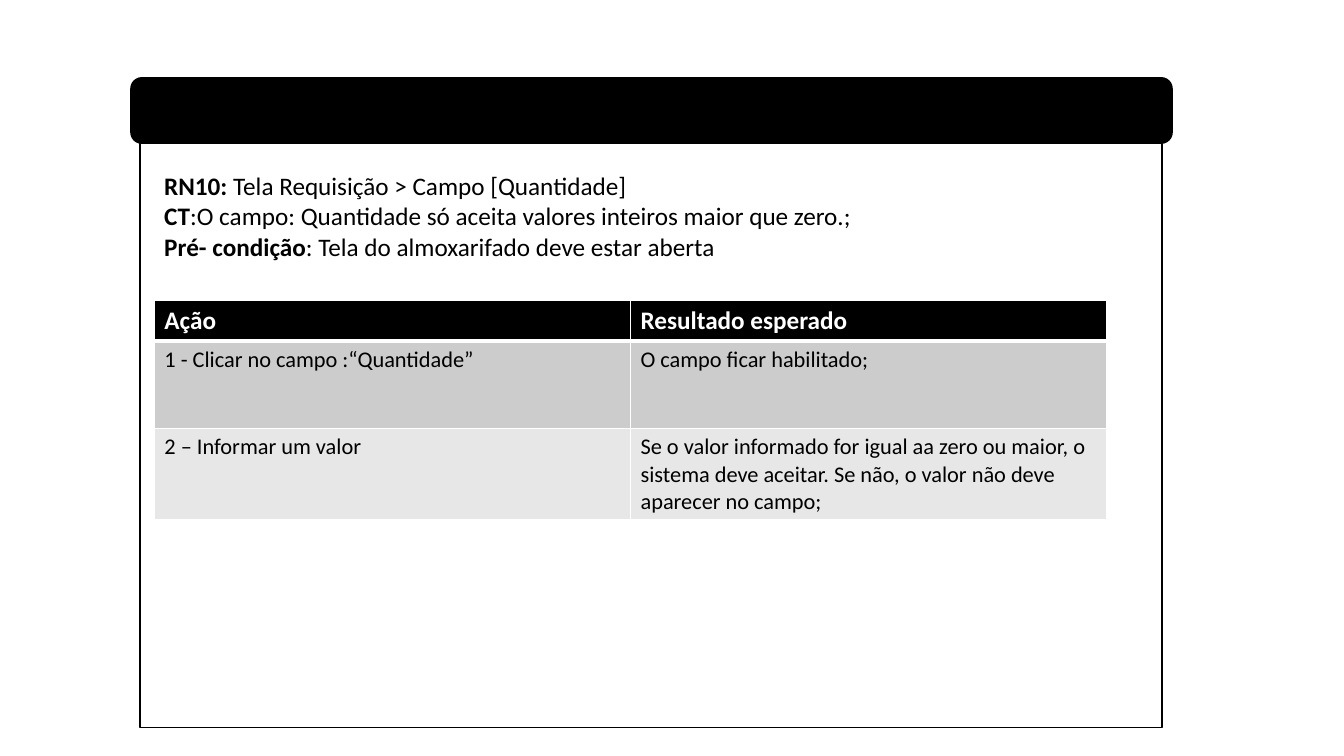
from lxml import etree
from pptx import Presentation
from pptx import util as u
from pptx.dml.color import RGBColor
from pptx.enum import shapes, text
from pptx.oxml import ns

BLACK, WHITE = "000000", "FFFFFF"


def color(value):
    return RGBColor.from_string(value)


class TestCaseSlide:
    font_name = "Calibri"

    def __init__(self, presentation):
        self.slide = presentation.slides.add_slide(presentation.slide_layouts[6])

    def style(self, font, size, value, bold=None):
        font.name, font.size, font.bold = self.font_name, u.Pt(size), bold
        font.color.rgb = color(value)

    def box(self, kind, left, top, width, height, fill=None):
        shape = self.slide.shapes.add_shape(
            kind, u.Cm(left), u.Cm(top), u.Cm(width), u.Cm(height))
        shape.shadow.inherit = False
        if fill:
            shape.fill.solid()
            shape.fill.fore_color.rgb = color(fill)
        else:
            shape.fill.background()
        shape.line.color.rgb = color(BLACK)
        shape.line.width = u.Pt(1)

    def labelled_text(self, left, top, width, height, lines):
        shape = self.slide.shapes.add_textbox(
            u.Cm(left), u.Cm(top), u.Cm(width), u.Cm(height))
        frame = shape.text_frame
        frame.word_wrap = True
        frame.auto_size = text.MSO_AUTO_SIZE.SHAPE_TO_FIT_TEXT
        for index, (label, detail) in enumerate(lines):
            paragraph = frame.add_paragraph() if index else frame.paragraphs[0]
            for words, bold in ((label, True), (detail, False)):
                run = paragraph.add_run()
                run.text = words
                self.style(run.font, 18, BLACK, bold)

    def cell_borders(self, cell, bottom):
        properties = cell._tc.get_or_add_tcPr()
        for side, points in (("L", 1), ("R", 1), ("T", 1), ("B", bottom)):
            line = etree.SubElement(properties, ns.qn(f"a:ln{side}"), w=str(u.Pt(points)))
            fill = etree.SubElement(line, ns.qn("a:solidFill"))
            etree.SubElement(fill, ns.qn("a:srgbClr"), val=WHITE)

    def table(self, left, top, column_width, heights, rows, fills):
        columns = len(rows[0])
        table = self.slide.shapes.add_table(
            len(rows), columns, u.Cm(left), u.Cm(top),
            u.Cm(column_width * columns), u.Cm(sum(heights))).table
        for row_index, row in enumerate(rows):
            header = row_index == 0
            table.rows[row_index].height = u.Cm(heights[row_index])
            for column_index, words in enumerate(row):
                cell = table.cell(row_index, column_index)
                self.cell_borders(cell, 3 if header else 1)
                cell.fill.solid()
                cell.fill.fore_color.rgb = color(fills[row_index])
                cell.text = words
                self.style(cell.text_frame.paragraphs[0].font,
                           18 if header else 16, WHITE if header else BLACK, header)
        for column in table.columns:
            column.width = u.Cm(column_width)


def main():
    presentation = Presentation()
    presentation.slide_width, presentation.slide_height = u.Cm(33.87), u.Cm(19.05)
    test_case = TestCaseSlide(presentation)

    # Header bar and content frame
    test_case.box(shapes.MSO_SHAPE.ROUNDED_RECTANGLE, 3.3, 1.96, 26.24, 1.65, BLACK)
    test_case.box(shapes.MSO_SHAPE.RECTANGLE, 3.53, 3.61, 25.76, 14.73)

    # Business rule, test case and precondition
    test_case.labelled_text(3.89, 4.17, 25.4, 2.57, [
        ("RN10: ", "Tela Requisição > Campo [Quantidade]"),
        ("CT", ":O campo: Quantidade só aceita valores inteiros maior que zero.;"),
        ("Pré- condição", ": Tela do almoxarifado deve estar aberta"),
    ])

    # Steps and expected results
    test_case.table(3.89, 7.57, 12, [1, 2.21, 2.25], [
        ("Ação", "Resultado esperado"),
        ("1 - Clicar no campo :“Quantidade”", "O campo ficar habilitado;"),
        ("2 – Informar um valor",
         "Se o valor informado for igual aa zero ou maior, o sistema deve aceitar. "
         "Se não, o valor não deve aparecer no campo;"),
    ], [BLACK, "CCCCCC", "E7E7E7"])

    presentation.save("out.pptx")


if __name__ == "__main__":
    main()
